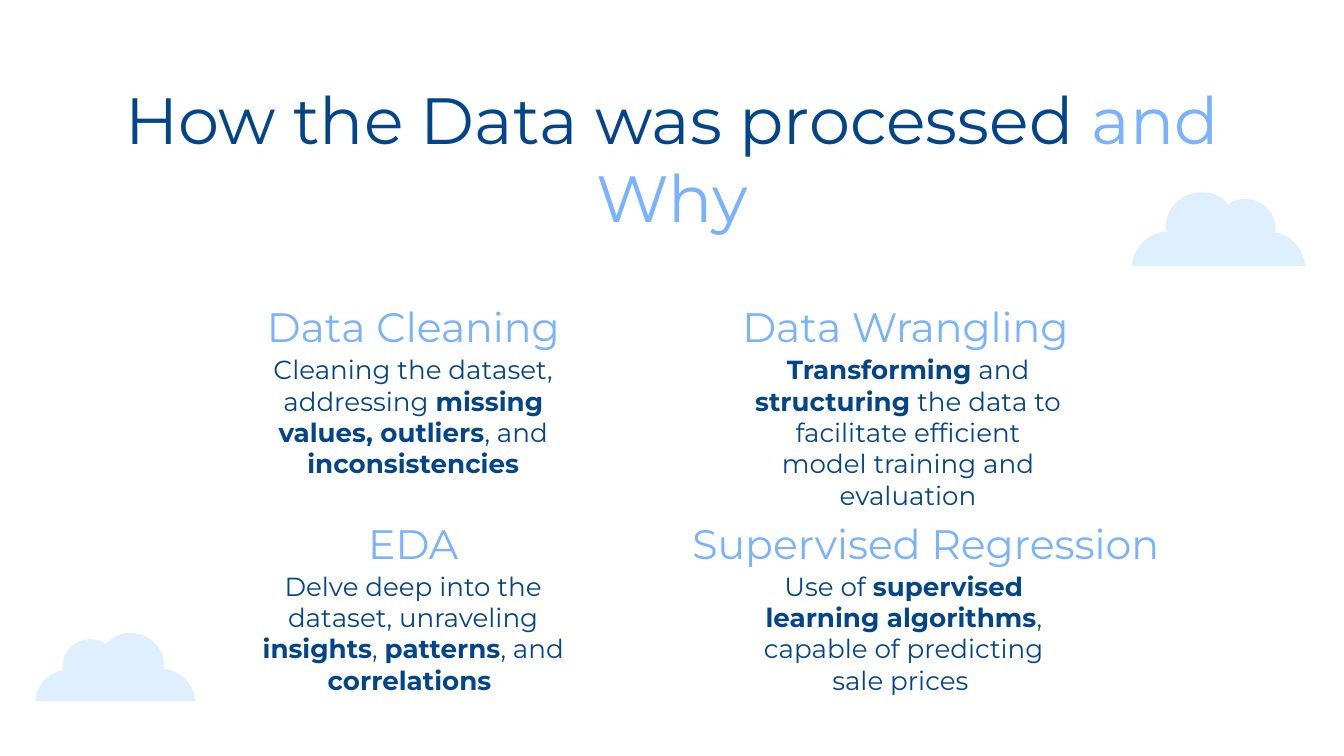
from lxml.etree import SubElement
from pptx import Presentation
from pptx.dml.color import RGBColor
from pptx.enum.text import MSO_ANCHOR, PP_ALIGN
from pptx.oxml.ns import qn
from pptx.util import Pt

COLORS = {"navy": "03458B", "sky": "79B3FF", "cloud": "DEF0FF"}

deck = Presentation()
deck.slide_width, deck.slide_height = Pt(720), Pt(405)
page = deck.slides.add_slide(deck.slide_layouts[6])


def add_text(text, left, top, width, height, size, colors, anchor=MSO_ANCHOR.TOP, mark_bold=True):
    """Add centred text; ** switches between the two colours and, if mark_bold, bold."""
    box = page.shapes.add_textbox(Pt(left), Pt(top), Pt(width), Pt(height))
    frame = box.text_frame
    frame.word_wrap = True
    frame.vertical_anchor = anchor
    frame.margin_left = frame.margin_right = Pt(7.2)
    frame.margin_top = frame.margin_bottom = Pt(7.2)
    para = frame.paragraphs[0]
    para.alignment = PP_ALIGN.CENTER
    for index, part in enumerate(text.split("**")):
        if not part:
            continue
        span = para.add_run()
        span.text = part
        span.font.name = "Montserrat"
        span.font.size = Pt(size)
        span.font.bold = mark_bold and index % 2 == 1
        span.font.color.rgb = RGBColor.from_string(COLORS[colors[index % 2]])


add_text("How the Data was processed **and Why", 56.6, 35, 607, 45.4, 35,
         ("navy", "sky"), mark_bold=False)

# Topics: row, heading, heading left and width, body left, body
HEADING_TOP, ROW_STEP, BODY_OFFSET = 155.7, 116, 26.5
topics = [
    (0, "Data Cleaning", 129.3, 184.3, 130.4,
     "Cleaning the dataset, addressing **missing values, outliers**, and **inconsistencies**"),
    (0, "Data Wrangling", 361.6, 247, 395.5,
     "**Transforming** and **structuring** the data to facilitate efficient "
     "model training and evaluation"),
    (1, "EDA", 129.3, 184.3, 130.4,
     "Delve deep into the dataset, unraveling **insights**, **patterns**, and **correlations **"),
    (1, "Supervised Regression", 329, 334, 393.2,
     "Use of **supervised learning algorithms**, capable of predicting sale prices "),
]
for row, heading, left, width, body_left, body in topics:
    top = HEADING_TOP + row * ROW_STEP
    add_text(heading, left, top, width, 39.6, 22, ("sky", "sky"), anchor=MSO_ANCHOR.BOTTOM)
    add_text(body, body_left, top + BODY_OFFSET, 182, 66.2, 14, ("navy", "navy"))

# Cloud outline on a 129 x 55 grid: each segment is two controls and an end, or an end alone
CLOUD_WIDTH, CLOUD_HEIGHT = 129, 55
cloud_start = (52, 0)
cloud_segments = [
    [(37, 0), (25, 12), (25, 27)],
    [(25, 28), (26, 28), (26, 29)],
    [(12, 30), (1, 41), (0, 55)],
    [(129, 55)],
    [(128, 42), (119, 32), (107, 30)],
    [(107, 29), (107, 28), (107, 27)],
    [(107, 15), (97, 5), (85, 5)],
    [(80, 5), (75, 6), (72, 9)],
    [(67, 3), (60, 0), (52, 0)],
]

for left, top, width, height, mirrored in [(18.9, 339.1, 85.7, 36.6, True),
                                           (606.4, 103, 92.8, 39.6, False)]:
    start, *segments = [[(CLOUD_WIDTH - x if mirrored else x, y) for x, y in segment]
                        for segment in [[cloud_start], *cloud_segments]]
    builder = page.shapes.build_freeform(
        *start[0], scale=(Pt(width) / CLOUD_WIDTH, Pt(height) / CLOUD_HEIGHT))
    builder.add_line_segments([segment[-1] for segment in segments], close=True)
    cloud = builder.convert_to_shape(Pt(left), Pt(top))
    lines = list(cloud._element.iter(qn("a:lnTo")))
    for line, segment in zip(lines, segments):
        if len(segment) == 3:
            line.tag = qn("a:cubicBezTo")
            line.remove(line[0])
            for x, y in segment:
                SubElement(line, qn("a:pt"), x=str(x), y=str(y))
    cloud.shadow.inherit = False
    cloud.fill.solid()
    cloud.fill.fore_color.rgb = RGBColor.from_string(COLORS["cloud"])
    cloud.line.fill.background()

deck.save("out.pptx")
